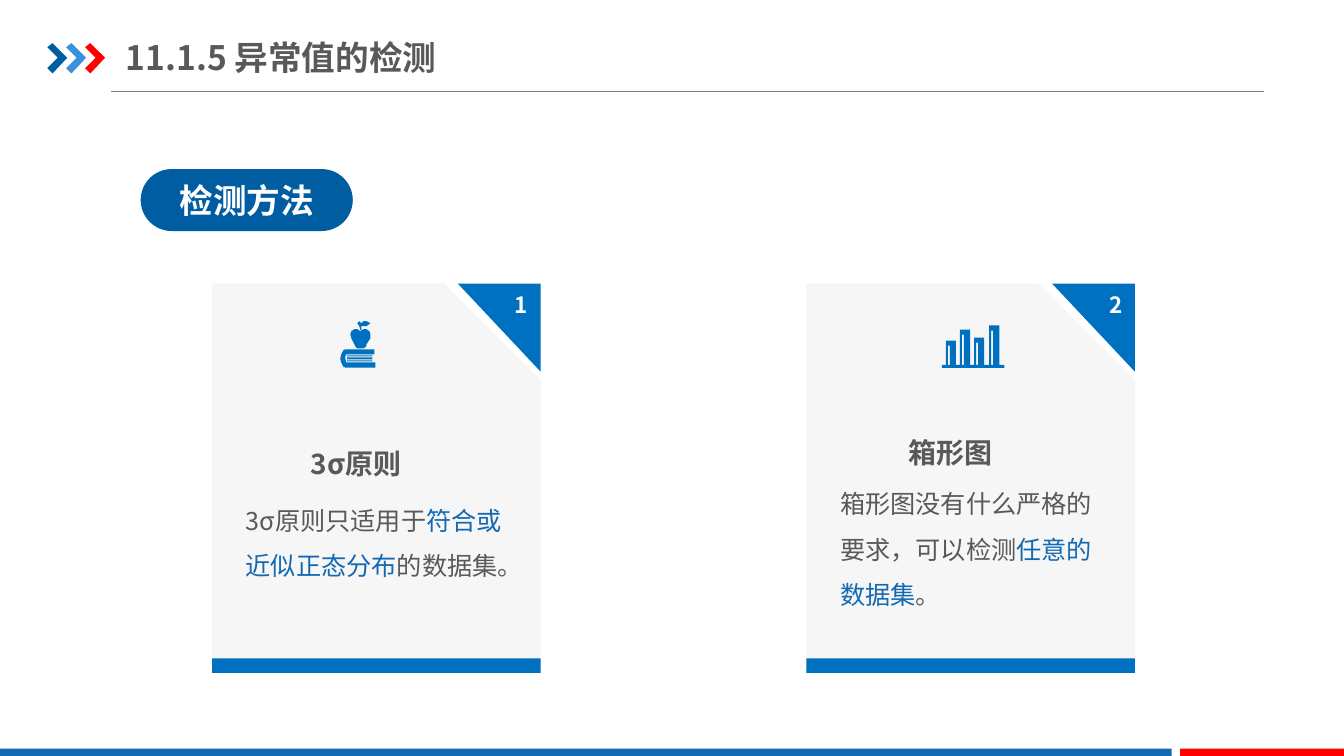
from lxml import etree
from pptx import Presentation
from pptx.dml.color import RGBColor
from pptx.enum.shapes import MSO_CONNECTOR, MSO_SHAPE
from pptx.enum.text import MSO_ANCHOR, MSO_AUTO_SIZE, PP_ALIGN
from pptx.oxml.ns import qn
from pptx.util import Pt

PX = 9525
ICON_UNIT = 9144
FONT = "Noto Sans CJK SC"
RECTANGLE = MSO_SHAPE.RECTANGLE
ROUNDED = MSO_SHAPE.ROUNDED_RECTANGLE
SNIPPED = MSO_SHAPE.SNIP_1_RECTANGLE
STRAIGHT = MSO_CONNECTOR.STRAIGHT
TOP, MIDDLE = MSO_ANCHOR.TOP, MSO_ANCHOR.MIDDLE
LEFT, CENTER, RIGHT = PP_ALIGN.LEFT, PP_ALIGN.CENTER, PP_ALIGN.RIGHT
GROW = MSO_AUTO_SIZE.SHAPE_TO_FIT_TEXT

NAVY, BLUE, ACCENT, SKY = "005DA2", "0070C0", "1369B2", "3992DB"
RED, GRAY, RULE, PALE, WHITE = "FF0000", "595959", "808080", "F6F6F6", "FFFFFF"

CHEVRON = [(0, 4), (5, 0), (19, 14), (5, 29), (0, 24), (10, 14)]
CORNER = [(79, 0), (0, 0), (79, 84)]


def color(value):
    return RGBColor.from_string(value)


def box_contour(left, top, right, bottom):
    return [(left, top), (right, top), (right, bottom), (left, bottom)]


APPLE = [(20, 12), (17, 10), (14, 10), (11, 12), (10, 15), (11, 19), (13, 23),
         (14, 25), (15, 27), (17, 29), (20, 29), (23, 29), (26, 27), (26, 25),
         (28, 22), (30, 19), (30, 15), (29, 12), (26, 10), (23, 10)]
LEAF = [(21, 4), (23, 2), (26, 2), (30, 4), (26, 7), (21, 7), (21, 11),
        (20, 11), (19, 7), (17, 4), (19, 2)]
BOOK = [(34, 35), (6, 35), (5, 37), (5, 39), (6, 43), (35, 43), (35, 48),
        (5, 48), (3, 47), (1, 43), (0, 39), (1, 35), (3, 31), (5, 30), (34, 30)]
PAGES = [box_contour(7, top, 32, bottom) for top, bottom in [(36, 37), (38, 40), (41, 42)]]
BARS = [(4, 15), (18, 4), (32, 12), (47, 0)]
SLOTS = [box_contour(left + 2, top + 5, left + 4, 39) for left, top in BARS]
SKYLINE = [(0, 42), (0, 39)]
for bar_left, bar_top in BARS:
    SKYLINE += [(bar_left, 39), (bar_left, bar_top), (bar_left + 10, bar_top), (bar_left + 10, 39)]
SKYLINE += [(62, 39), (62, 42)]

CARDS = [
    {"left": 202, "number": "1", "title": "3σ原则", "title_top": 134,
     "body": [("3σ原则只适用于", GRAY), ("符合或近似正态分布", ACCENT), ("的数据集。", GRAY)],
     "body_top": 192, "body_height": 97,
     "icon": [APPLE, LEAF, BOOK, *PAGES], "icon_at": (122, 34)},
    {"left": 768, "number": "2", "title": "箱形图", "title_top": 124,
     "body": [("箱形图没有什么严格的要求，可以检测", GRAY), ("任意的数据集", ACCENT), ("。", GRAY)],
     "body_top": 176, "body_height": 140,
     "icon": [SKYLINE, *SLOTS], "icon_at": (129, 40)},
]


def paint(shape, fill):
    shape.shadow.inherit = False
    shape.fill.solid()
    shape.fill.fore_color.rgb = color(fill)
    shape.line.fill.background()
    return shape


def add_block(slide, kind, left, top, width, height, fill):
    shape = slide.shapes.add_shape(kind, left * PX, top * PX, width * PX, height * PX)
    return paint(shape, fill)


def add_outline(slide, contours, left, top, fill, unit=PX):
    builder = slide.shapes.build_freeform(*contours[0][0], scale=unit)
    for index, contour in enumerate(contours):
        if index:
            builder.move_to(*contour[0])
        builder.add_line_segments(contour[1:], close=True)
    return paint(builder.convert_to_shape(left * PX, top * PX), fill)


def write(shape, parts, size, bold=False, align=LEFT, anchor=TOP, inset=(10, 5), spacing=None):
    text_frame = shape.text_frame
    text_frame.word_wrap = True
    text_frame.vertical_anchor = anchor
    text_frame.margin_left = text_frame.margin_right = inset[0] * PX
    text_frame.margin_top = text_frame.margin_bottom = inset[1] * PX
    paragraph = text_frame.paragraphs[0]
    paragraph.alignment = align
    if spacing:
        paragraph.line_spacing = spacing
    for text, value in parts:
        run = paragraph.add_run()
        run.text = text
        run.font.size = Pt(size)
        run.font.bold = bold
        run.font.color.rgb = color(value)
        run.font.name = FONT
        east_asian = etree.SubElement(run.font._element, qn("a:ea"))
        east_asian.set("typeface", FONT)


def add_text(slide, left, top, width, height, parts, size, **style):
    shape = slide.shapes.add_textbox(left * PX, top * PX, width * PX, height * PX)
    write(shape, parts, size, **style)
    return shape


def add_header(slide, left, top):
    rule = slide.shapes.add_connector(
        STRAIGHT, (left + 61) * PX, (top + 59) * PX, (left + 1159) * PX, (top + 59) * PX)
    rule.line.color.rgb = color(RULE)
    rule.line.width = Pt(0.75)
    etree.SubElement(rule._element.spPr, qn("a:effectLst"))
    for index, fill in enumerate([NAVY, SKY, RED]):
        add_outline(slide, [CHEVRON], left + 18 * index, top + 13, fill)
    add_text(slide, left + 75, top, 437, 53, [("11.1.5 异常值的检测", GRAY)], 24,
             bold=True, anchor=MIDDLE, inset=(0, 7))


def add_footer(slide, top, height):
    add_block(slide, RECTANGLE, 0, top, 1116, height, ACCENT)
    add_block(slide, RECTANGLE, 1124, top, 156, height, RED)


def add_section_label(slide, left, top, width, height):
    pill = add_block(slide, ROUNDED, left, top, width, height, NAVY)
    pill.adjustments[0] = 0.5
    write(pill, [("检测方法", WHITE)], 24, bold=True, align=CENTER, anchor=MIDDLE)


def add_card(slide, card, top, width, height):
    left = card["left"]
    panel = add_block(slide, SNIPPED, left, top, width, height, PALE)
    panel.adjustments[0] = 0.294
    add_block(slide, RECTANGLE, left, top + height - 14, width, 14, BLUE)
    corner = add_outline(slide, [CORNER], left + width - 79, top, BLUE)
    write(corner, [(card["number"], WHITE)], 16, bold=True, align=RIGHT, inset=(12, 7))
    body = add_text(slide, left + 22, top + card["body_top"], 277, card["body_height"],
                    card["body"], 18, spacing=1.5)
    title = add_text(slide, left + 22, top + card["title_top"], 230, 53,
                     [(card["title"], GRAY)], 20, bold=True, align=CENTER, spacing=1.5)
    for shape in (body, title):
        shape.text_frame.auto_size = GROW
    icon_left, icon_top = card["icon_at"]
    add_outline(slide, card["icon"], left + icon_left, top + icon_top, BLUE, ICON_UNIT)


def main():
    presentation = Presentation()
    presentation.slide_width = 1280 * PX
    presentation.slide_height = 720 * PX
    slide = presentation.slides.add_slide(presentation.slide_layouts[6])
    add_header(slide, 45, 28)
    add_footer(slide, 713, 7)
    add_section_label(slide, 134, 161, 202, 59)
    for card in CARDS:
        add_card(slide, card, 270, 313, 371)
    presentation.save("out.pptx")


if __name__ == "__main__":
    main()
